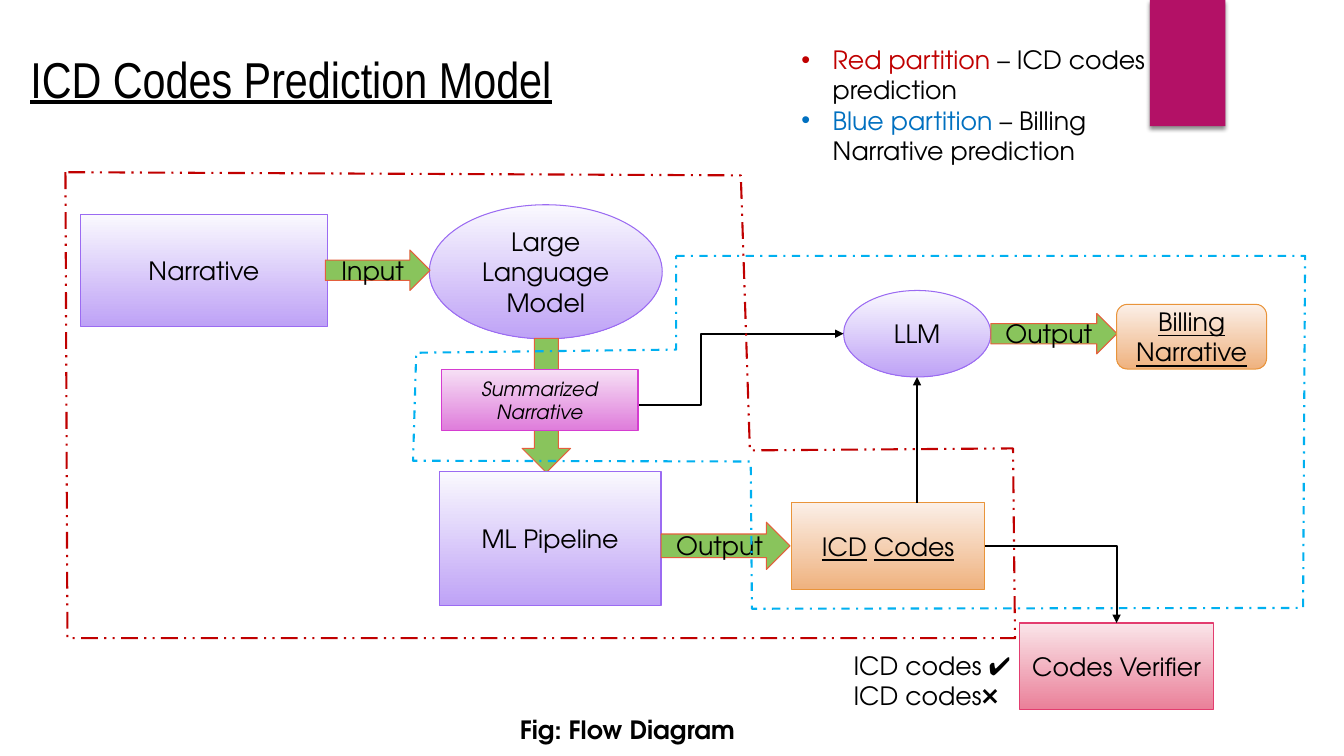
import pptx
import pptx.dml.color
import pptx.enum.dml
import pptx.enum.shapes
import pptx.enum.text
import pptx.oxml
import pptx.oxml.ns
import pptx.util

Cm, Pt = pptx.util.Cm, pptx.util.Pt
RGB = pptx.dml.color.RGBColor
SHAPE = pptx.enum.shapes.MSO_SHAPE
CONNECTOR = pptx.enum.shapes.MSO_CONNECTOR
DASH = pptx.enum.dml.MSO_LINE
ANCHOR = pptx.enum.text.MSO_ANCHOR
ALIGN = pptx.enum.text.PP_ALIGN
FIT = pptx.enum.text.MSO_AUTO_SIZE

BLACK = RGB(0x00, 0x00, 0x00)
MAGENTA = RGB(0xB3, 0x11, 0x66)
RED = RGB(0xC0, 0x00, 0x00)
BLUE = RGB(0x00, 0x70, 0xC0)
SKY = RGB(0x00, 0xB0, 0xF0)
GREEN = RGB(0x89, 0xC4, 0x5C)
RUST = RGB(0xE4, 0x5F, 0x3C)

# Gradient top, gradient bottom, outline
PURPLE_BOX = (RGB(0xFA, 0xF9, 0xFE), RGB(0xBE, 0xA2, 0xF6), RGB(0x9B, 0x6B, 0xF2))
ORANGE_BOX = (RGB(0xFB, 0xEF, 0xE7), RGB(0xEF, 0xB2, 0x7F), RGB(0xE9, 0x94, 0x3A))
ROSE_BOX = (RGB(0xFA, 0xE5, 0xE9), RGB(0xEA, 0x80, 0x99), RGB(0xE3, 0x3D, 0x6F))
PINK_BOX = (RGB(0xF6, 0xDF, 0xF5), RGB(0xDF, 0x7D, 0xDB), RGB(0xD5, 0x3D, 0xD0))

BODY = {"name": "TeX Gyre Adventor", "size": Pt(18)}
HEADING = {"name": "Arial Narrow", "size": Pt(36), "underline": True}
UNDERLINED = BODY | {"underline": True}
SMALL_ITALIC = BODY | {"size": Pt(14), "italic": True}
BOLD = BODY | {"bold": True}

RED_CORNERS = [(1.65, 4.34), (1.7, 16.08), (25.58, 16.08),
               (25.53, 11.3), (18.9, 11.35), (18.67, 4.42)]
BLUE_CORNERS = [(17.04, 6.45), (32.89, 6.45), (32.84, 15.32), (18.95, 15.34),
                (18.92, 11.63), (10.41, 11.61), (10.49, 8.89), (17.04, 8.81)]


def lengths(*values):
    return [Cm(value) for value in values]


def apply_format(target, values):
    for name, value in values.items():
        setattr(target, name, value)


def append_xml(parent, tag, content="", attributes=""):
    namespace = pptx.oxml.ns.nsdecls("a")
    parent.append(pptx.oxml.parse_xml(f"<{tag} {namespace} {attributes}>{content}</{tag}>"))


def add_span(para, text, style=BODY, color=BLACK):
    span = para.add_run()
    span.text = text
    apply_format(span.font, style)
    span.font.color.rgb = color


def move(shape, *place):
    apply_format(shape, dict(zip(("left", "top", "width", "height"), lengths(*place))))


def write_centred(shape, text, style=BODY):
    """Centre the words; an underline skips the spaces between them."""
    apply_format(shape.text_frame, {"word_wrap": True, "vertical_anchor": ANCHOR.MIDDLE})
    para = shape.text_frame.paragraphs[0]
    para.alignment = ALIGN.CENTER
    for index, part in enumerate(text.split() if style.get("underline") else [text]):
        if index:
            add_span(para, " ")
        add_span(para, part, style)


def add_outlined_shape(page, kind, place, line_color):
    shape = page.shapes.add_shape(kind, *lengths(*place))
    shape.shadow.inherit = False
    shape.line.color.rgb = line_color
    shape.line.width = Pt(0.75)
    return shape


def add_box(page, kind, place, colors, text, style=BODY):
    box = add_outlined_shape(page, kind, place, colors[2])
    box.fill.gradient()
    box.fill.gradient_angle = 270
    for stop, color in zip(box.fill.gradient_stops, colors):
        stop.color.rgb = color
    write_centred(box, text, style)
    return box


def add_block_arrow(page, kind, place, text=""):
    arrow = add_outlined_shape(page, kind, place, RUST)
    arrow.fill.solid()
    arrow.fill.fore_color.rgb = GREEN
    if text:
        write_centred(arrow, text)


def add_flow_line(page, kind, start, end):
    connector = page.shapes.add_connector(kind, *lengths(*start, *end))
    connector.line.color.rgb = BLACK
    connector.line.width = Pt(1.5)
    properties = connector._element.spPr
    append_xml(properties.ln, "a:tailEnd", attributes='type="triangle"')
    append_xml(properties, "a:effectLst")
    return connector


def add_partition(page, corners, color, dash):
    points = [lengths(*corner) for corner in corners]
    builder = page.shapes.build_freeform(*points[0])
    builder.add_line_segments(points[1:], close=True)
    outline = builder.convert_to_shape()
    outline.shadow.inherit = False
    outline.fill.background()
    outline.line.color.rgb = color
    apply_format(outline.line, {"width": Pt(1.5), "dash_style": dash})


def add_banner(page):
    banner = page.shapes.add_shape(SHAPE.RECTANGLE, *lengths(28.98, 0, 1.9, 3.18))
    banner.fill.solid()
    banner.fill.fore_color.rgb = MAGENTA
    banner.line.fill.background()
    append_xml(banner._element.spPr, "a:effectLst",
               f'<a:outerShdw blurRad="{Pt(3)}" dist="{Pt(2)}" dir="5400000">'
               '<a:srgbClr val="000000"><a:alpha val="45000"/></a:srgbClr></a:outerShdw>')


def add_text_box(page, place, lines, style=BODY):
    frame = page.shapes.add_textbox(*lengths(*place)).text_frame
    apply_format(frame, {"word_wrap": True, "auto_size": FIT.SHAPE_TO_FIT_TEXT})
    for index, line in enumerate(lines):
        if index:
            frame.paragraphs[0].add_line_break()
        add_span(frame.paragraphs[0], line, style)


def fill_title(title):
    move(title, 0.51, 0.53, 18.03, 2.9)
    apply_format(title.text_frame, {"auto_size": FIT.NONE, "vertical_anchor": ANCHOR.MIDDLE})
    para = title.text_frame.paragraphs[0]
    para.alignment = ALIGN.LEFT
    add_span(para, "ICD Codes Prediction Model", HEADING)


def fill_legend(legend):
    move(legend, 19.94, 0.99, 9.35, 3.33)
    frame = legend.text_frame
    apply_format(frame, {"auto_size": FIT.NONE, "vertical_anchor": ANCHOR.TOP})
    entries = [("Red partition ", RED, "– ICD codes prediction"),
               ("Blue partition ", BLUE, "– Billing Narrative prediction")]
    for index, (name, color, meaning) in enumerate(entries):
        para = frame.add_paragraph() if index else frame.paragraphs[0]
        para.space_before = Pt(0)
        properties = para._p.get_or_add_pPr()
        properties.set("marL", str(Cm(0.79)))
        properties.set("indent", str(-Cm(0.79)))
        add_span(para, name, color=color)
        add_span(para, meaning)


def add_flow(page):
    add_box(page, SHAPE.RECTANGLE, (2.03, 5.41, 6.22, 2.82), PURPLE_BOX, "Narrative")
    add_box(page, SHAPE.OVAL, (10.82, 5.16, 5.87, 3.38), PURPLE_BOX, "Large Language Model")
    add_block_arrow(page, SHAPE.DOWN_ARROW, (13.16, 8.53, 1.22, 3.38))
    add_box(page, SHAPE.RECTANGLE, (11.07, 11.89, 5.59, 3.38), PURPLE_BOX, "ML Pipeline")
    add_block_arrow(page, SHAPE.RIGHT_ARROW, (16.66, 13.16, 3.25, 1.19), "Output")
    codes = add_box(page, SHAPE.RECTANGLE, (19.94, 12.67, 4.88, 2.18), ORANGE_BOX,
                    "ICD Codes", UNDERLINED)
    add_block_arrow(page, SHAPE.RIGHT_ARROW, (8.2, 6.3, 2.64, 1.02), "Input")
    add_box(page, SHAPE.OVAL, (21.26, 7.32, 3.71, 2.18), PURPLE_BOX, "LLM")
    verifier = add_box(page, SHAPE.RECTANGLE, (25.7, 15.7, 4.88, 2.18), ROSE_BOX, "Codes Verifier")
    add_flow_line(page, CONNECTOR.ELBOW, (14.07, 10.21), (21.26, 8.41))
    check = add_flow_line(page, CONNECTOR.ELBOW, (24.82, 13.76), (28.14, 15.7))
    check._element.spPr.prstGeom.set("prst", "bentConnector2")
    check.begin_connect(codes, 3)
    check.end_connect(verifier, 0)
    add_flow_line(page, CONNECTOR.STRAIGHT, (23.11, 12.67), (23.11, 9.5))
    add_block_arrow(page, SHAPE.RIGHT_ARROW, (24.97, 7.9, 3.18, 1.02), "Output")
    add_box(page, SHAPE.ROUNDED_RECTANGLE, (28.14, 7.67, 3.78, 1.63), ORANGE_BOX,
            "Billing Narrative", UNDERLINED)
    add_box(page, SHAPE.RECTANGLE, (11.13, 9.32, 4.95, 1.52), PINK_BOX,
            "Summarized Narrative", SMALL_ITALIC)


def main():
    deck = pptx.Presentation()
    deck.slide_width, deck.slide_height = lengths(33.87, 19.05)
    page = deck.slides.add_slide(deck.slide_layouts[1])
    add_banner(page)
    fill_title(page.shapes.title)
    fill_legend(page.placeholders[1])
    add_flow(page)
    add_partition(page, RED_CORNERS, RED, DASH.DASH_DOT_DOT)
    add_partition(page, BLUE_CORNERS, SKY, DASH.DASH_DOT)
    add_text_box(page, (12.85, 17.88, 7.67, 1.02), ["Fig: Flow Diagram"], BOLD)
    add_text_box(page, (21.26, 16.26, 5.56, 1.8), ["ICD codes ✔️", "ICD codes❌"])
    deck.save("out.pptx")


if __name__ == "__main__":
    main()
